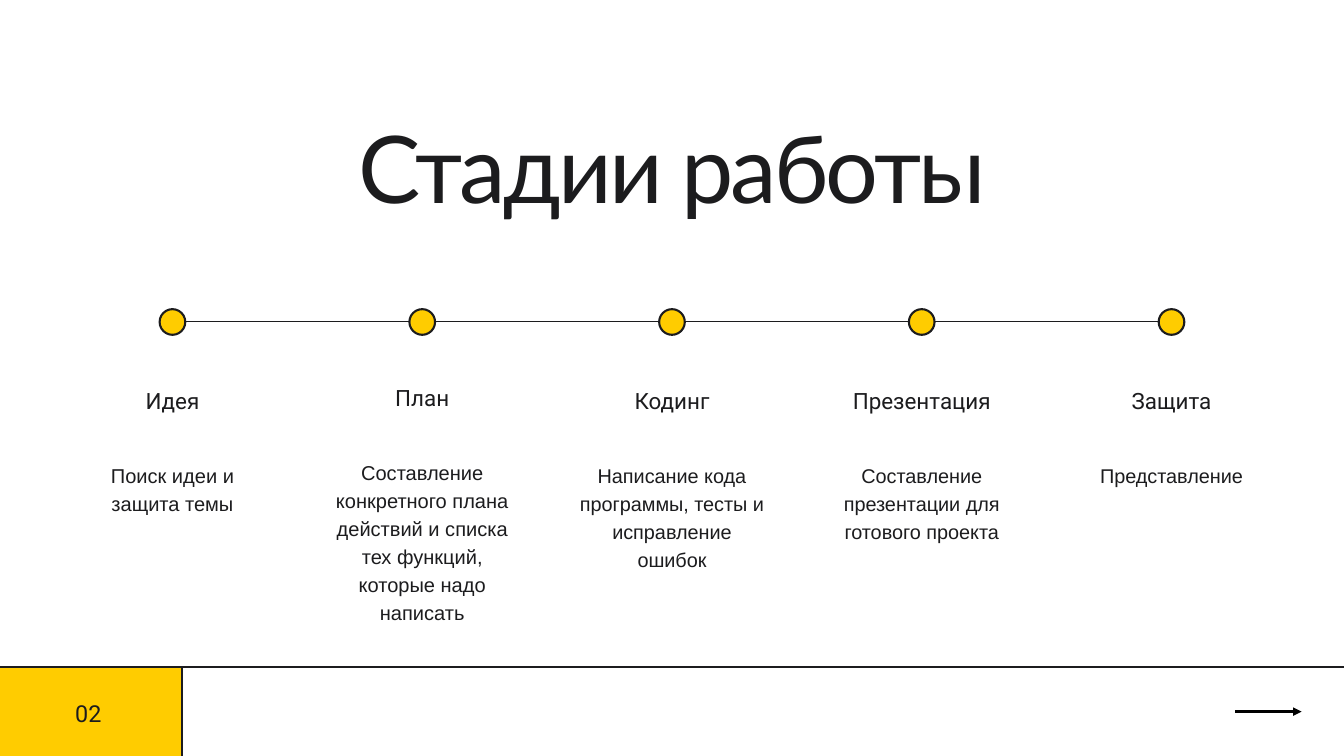
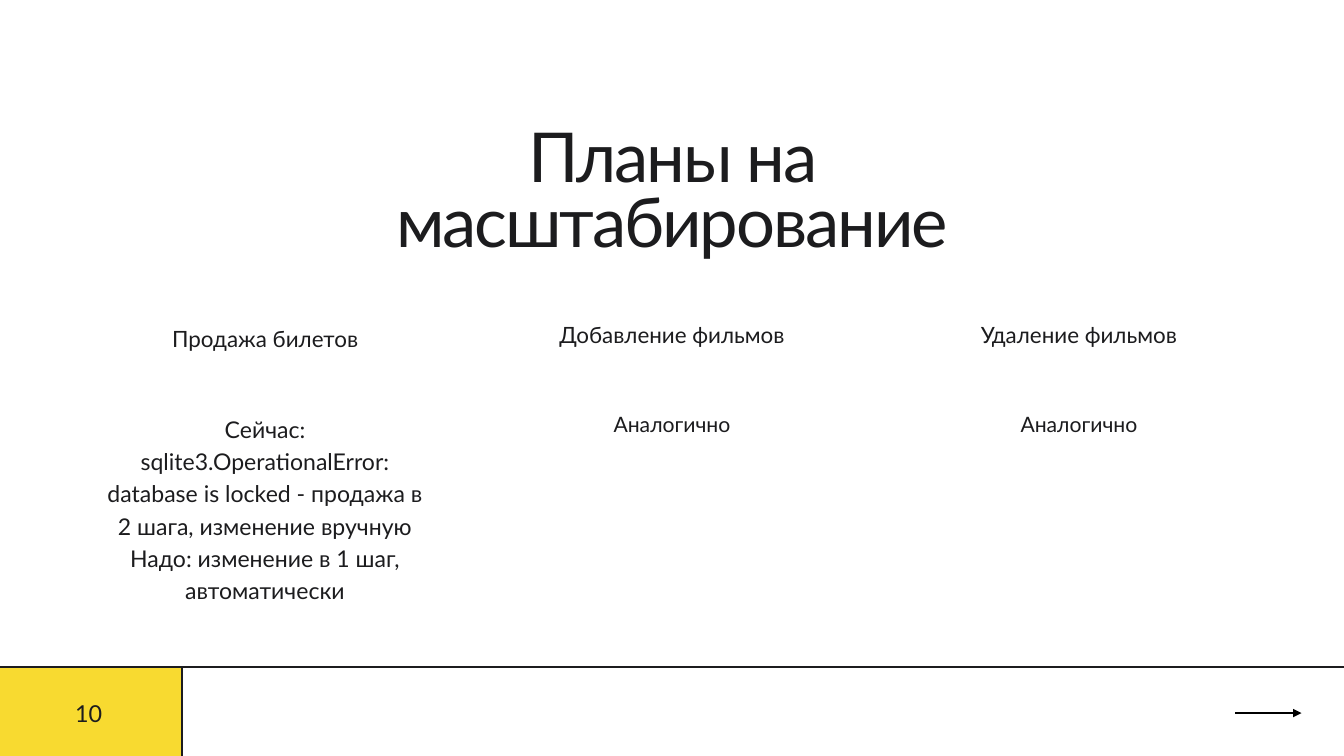
from dataclasses import dataclass
from typing import Any

import lxml.etree
import pptx
import pptx.dml.color
import pptx.enum.shapes
import pptx.enum.text
import pptx.oxml.ns
import pptx.util

Pt = pptx.util.Pt
MSO_SHAPE = pptx.enum.shapes.MSO_SHAPE
CENTER = pptx.enum.text.PP_ALIGN.CENTER
LEFT = pptx.enum.text.PP_ALIGN.LEFT

COLORS = {"ink": "1C1C1E", "amber": "FFCC00", "lemon": "F8DA30", "arrow": "000000"}
WIDTH, HEIGHT = 1440, 810
MIDDLE = WIDTH / 2
FOOTER_TOP = 714.5
TIMELINE_Y = 345
DOT = 27.5


@dataclass(frozen=True)
class Style:
    font: str
    size: float
    leading: float
    spacing: float = 0
    align: Any = CENTER


@dataclass(frozen=True)
class Box:
    left: float
    top: float
    width: float
    height: float


@dataclass(frozen=True)
class Column:
    heading: str
    heading_top: float
    lines: tuple[str, ...]
    body_top: float
    body_height: float
    body: Style


@dataclass(frozen=True)
class Page:
    title: str
    title_box: Box
    title_style: Style
    number: str
    number_font: str
    accent: str
    arrow_y: float
    heading: Style
    step: float
    column_width: float
    columns: tuple[Column, ...]
    timeline: bool = False


STAGE = Style("Arial", 21.3, 29.9)
EARLY_STAGE = Style("Arial", 21.5, 30.1)
PLAN = Style("Lato", 24.7, 34.6)
SAME_PLAN = Style("Lato", 22.7, 31.8)

PAGES = (
    Page(
        "Стадии работы", Box(136, 143.3, 1168, 100), Style("Lato", 100, 95, -3),
        "02", "Roboto", "amber", 762.5, Style("Roboto", 24, 28.8), 267.6, 207.4,
        (
            Column("Идея", 414.7, ("Поиск идеи и защита темы",), 491.8, 59, EARLY_STAGE),
            Column("План", 411.8, ("Составление конкретного плана действий и списка "
                                   "тех функций, которые надо написать",),
                   488.9, 179.3, EARLY_STAGE),
            Column("Кодинг", 414.7, ("Написание кода программы, тесты и исправление ошибок",),
                   492.5, 115.2, STAGE),
            Column("Презентация", 414.7, ("Составление презентации для готового проекта",),
                   492.5, 86.4, STAGE),
            Column("Защита", 414.7, ("Представление",), 492.5, 27.4, STAGE),
        ),
        timeline=True,
    ),
    Page(
        "Планы на масштабирование", Box(277.5, 140.4, 885, 141.8), Style("Lato", 73.7, 70, -2.2),
        "10", "Lato", "lemon", 764, Style("Lato", 24, 28.8), 436, 349.5,
        (
            Column("Продажа билетов", 348.5,
                   ("Сейчас: sqlite3.OperationalError: database is locked - "
                    "продажа в 2 шага, изменение вручную",
                    "Надо: изменение в 1 шаг, автоматически"), 439.9, 205.2, PLAN),
            Column("Добавление фильмов", 344.2, ("Аналогично",), 436.3, 29.5, SAME_PLAN),
            Column("Удаление фильмов", 344.2, ("Аналогично",), 436.3, 29.5, SAME_PLAN),
        ),
    ),
)


def rgb(name: str) -> pptx.dml.color.RGBColor:
    return pptx.dml.color.RGBColor.from_string(COLORS[name])


def apply(target: Any, values: dict[str, Any]) -> None:
    for name, value in values.items():
        setattr(target, name, value)


def write(sp: Any, lines: tuple[str, ...], style: Style) -> None:
    tf = sp.text_frame
    apply(tf, {
        "word_wrap": True, "auto_size": pptx.enum.text.MSO_AUTO_SIZE.NONE,
        "vertical_anchor": pptx.enum.text.MSO_ANCHOR.TOP,
        "margin_left": 0, "margin_top": 0, "margin_right": 0, "margin_bottom": 0,
    })
    for i, line in enumerate(lines):
        p = tf.add_paragraph() if i else tf.paragraphs[0]
        apply(p, {"alignment": style.align, "line_spacing": Pt(style.leading),
                  "space_before": Pt(0), "space_after": Pt(0)})
        r = p.add_run()
        r.text = line
        apply(r.font, {"name": style.font, "size": Pt(style.size)})
        r.font.color.rgb = rgb("ink")
        if style.spacing:
            r._r.get_or_add_rPr().set("spc", str(round(style.spacing * 100)))


def add_text(s: Any, box: Box, lines: tuple[str, ...], style: Style) -> None:
    sp = s.shapes.add_textbox(Pt(box.left), Pt(box.top), Pt(box.width), Pt(box.height))
    write(sp, lines, style)


def add_title(s: Any, page: Page) -> None:
    sp, box = s.shapes.title, page.title_box
    apply(sp, {"left": Pt(box.left), "top": Pt(box.top),
               "width": Pt(box.width), "height": Pt(box.height)})
    write(sp, (page.title,), page.title_style)


def add_outlined(s: Any, kind: Any, box: Box, fill: str, weight: float) -> None:
    sp = s.shapes.add_shape(kind, Pt(box.left), Pt(box.top), Pt(box.width), Pt(box.height))
    sp.shadow.inherit = False
    sp.fill.solid()
    sp.fill.fore_color.rgb = rgb(fill)
    sp.line.color.rgb = rgb("ink")
    sp.line.width = Pt(weight)


def add_rule(s: Any, x1: float, x2: float, y: float, color: str = "ink",
             weight: float = 1.5, arrow: bool = False) -> None:
    cx = s.shapes.add_connector(pptx.enum.shapes.MSO_CONNECTOR.STRAIGHT,
                                Pt(x1), Pt(y), Pt(x2), Pt(y))
    cx.line.color.rgb = rgb(color)
    cx.line.width = Pt(weight)
    qn = pptx.oxml.ns.qn
    if arrow:
        lxml.etree.SubElement(cx.line._get_or_add_ln(), qn("a:tailEnd"), type="triangle")
    lxml.etree.SubElement(cx._element.spPr, qn("a:effectLst"))


def add_footer(s: Any, page: Page) -> None:
    add_outlined(s, MSO_SHAPE.RECTANGLE, Box(-16, FOOTER_TOP, 211, 107.5), page.accent, 1.5)
    add_rule(s, -16, WIDTH + 16, FOOTER_TOP)
    add_text(s, Box(80.6, 744.5, 80, 34.6), (page.number,),
             Style(page.number_font, 25, 35, align=LEFT))
    add_rule(s, 1323.4, 1394.6, page.arrow_y, "arrow", 3, arrow=True)


def add_timeline(s: Any, centers: list[float]) -> None:
    add_rule(s, centers[0], centers[-1], TIMELINE_Y - 0.8)
    for x in centers:
        add_outlined(s, MSO_SHAPE.OVAL,
                     Box(x - DOT / 2, TIMELINE_Y - DOT / 2, DOT, DOT), "amber", 2.25)


def add_columns(s: Any, page: Page, centers: list[float]) -> None:
    for x, col in zip(centers, page.columns):
        left = x - page.column_width / 2
        add_text(s, Box(left, col.heading_top, page.column_width, 28.8),
                 (col.heading,), page.heading)
        add_text(s, Box(left, col.body_top, page.column_width, col.body_height),
                 col.lines, col.body)


def main() -> None:
    prs = pptx.Presentation()
    apply(prs, {"slide_width": Pt(WIDTH), "slide_height": Pt(HEIGHT)})
    for page in PAGES:
        s = prs.slides.add_slide(prs.slide_layouts.get_by_name("Title Only"))
        # Columns are spread evenly about the middle of the slide
        half = (len(page.columns) - 1) / 2
        centers = [MIDDLE + (i - half) * page.step for i in range(len(page.columns))]
        add_title(s, page)
        if page.timeline:
            add_timeline(s, centers)
        add_columns(s, page, centers)
        add_footer(s, page)
    prs.save("out.pptx")


if __name__ == "__main__":
    main()
